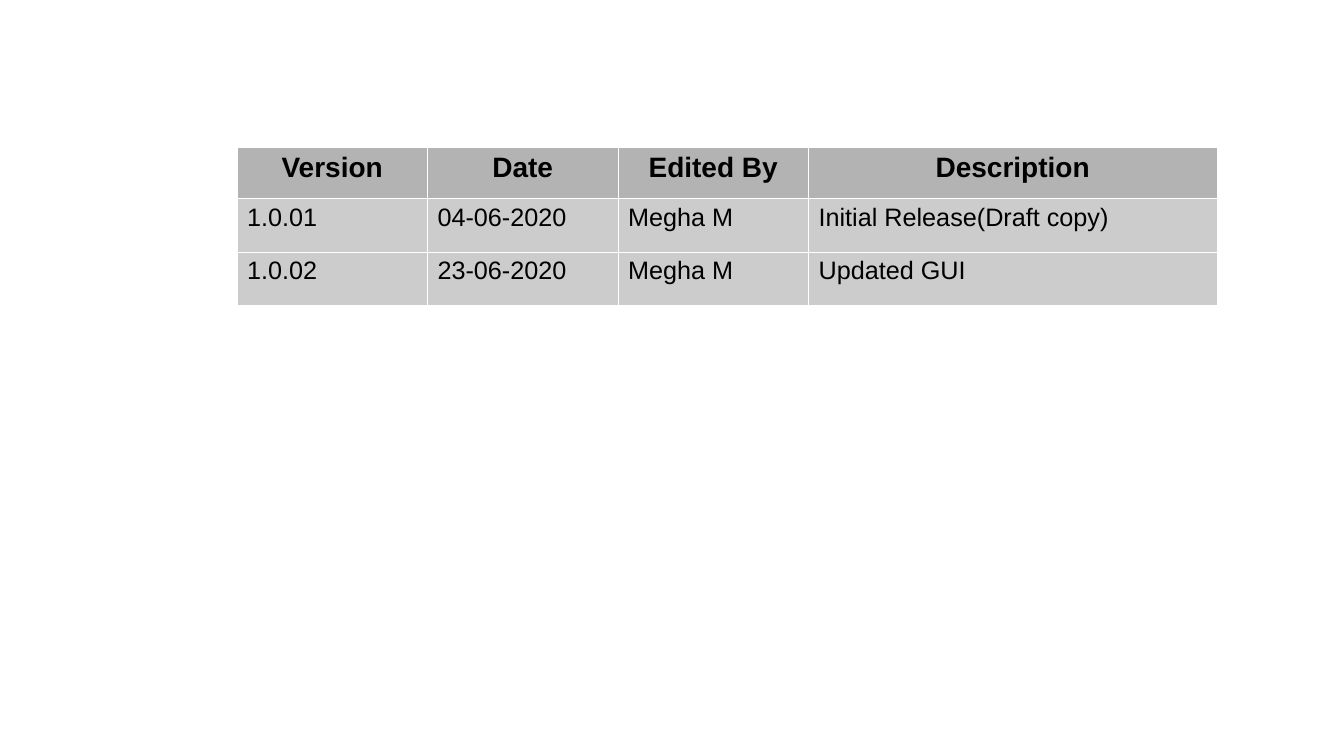
from lxml import etree
from pptx import Presentation
from pptx import util as u
from pptx.dml.color import RGBColor
from pptx.enum import text
from pptx.oxml import ns

PX = 9144
COLORS = {"text": "000000", "header": "B3B3B3", "body": "CCCCCC", "border": "FFFFFF"}
COLS = [189, 189, 189, 405]
ROWS = [51, 53, 53]
VERSIONS = [
    ["Version", "Date", "Edited By", "Description"],
    ["1.0.01", "04-06-2020", "Megha M", "Initial Release(Draft copy)"],
    ["1.0.02", "23-06-2020", "Megha M", "Updated GUI"],
]


def px(n):
    return u.Emu(n * PX)


def rgb(name):
    return RGBColor.from_string(COLORS[name])


def add_borders(cell):
    tcPr = cell._tc.get_or_add_tcPr()
    for side in ("lnL", "lnR", "lnT", "lnB"):
        ln = etree.SubElement(tcPr, ns.qn(f"a:{side}"), w="720")
        fill = etree.SubElement(ln, ns.qn("a:solidFill"))
        etree.SubElement(fill, ns.qn("a:srgbClr"), val=COLORS["border"])


def fill_cell(cell, value, header):
    add_borders(cell)
    cell.fill.solid()
    cell.fill.fore_color.rgb = rgb("header" if header else "body")
    cell.margin_left = cell.margin_right = px(10)
    cell.margin_top = cell.margin_bottom = px(5)
    p = cell.text_frame.paragraphs[0]
    p.alignment = text.PP_ALIGN.CENTER if header else text.PP_ALIGN.LEFT
    r = p.add_run()
    r.text = value
    r.font.name = "Arial"
    r.font.size = u.Pt(20 if header else 18)
    r.font.bold = header
    r.font.color.rgb = rgb("text")


def add_version_table(s, left, top):
    frame = s.shapes.add_table(len(ROWS), len(COLS), px(left), px(top),
                               px(sum(COLS)), px(sum(ROWS)))
    tbl = frame.table
    tbl.horz_banding = False
    for col, width in zip(tbl.columns, COLS):
        col.width = px(width)
    for row, height, values in zip(tbl.rows, ROWS, VERSIONS):
        row.height = px(height)
        for cell, value in zip(row.cells, values):
            fill_cell(cell, value, values is VERSIONS[0])


def main():
    prs = Presentation()
    prs.slide_width, prs.slide_height = px(1333), px(750)
    s = prs.slides.add_slide(prs.slide_layouts[6])
    add_version_table(s, 235, 146)
    prs.save("out.pptx")


if __name__ == "__main__":
    main()
